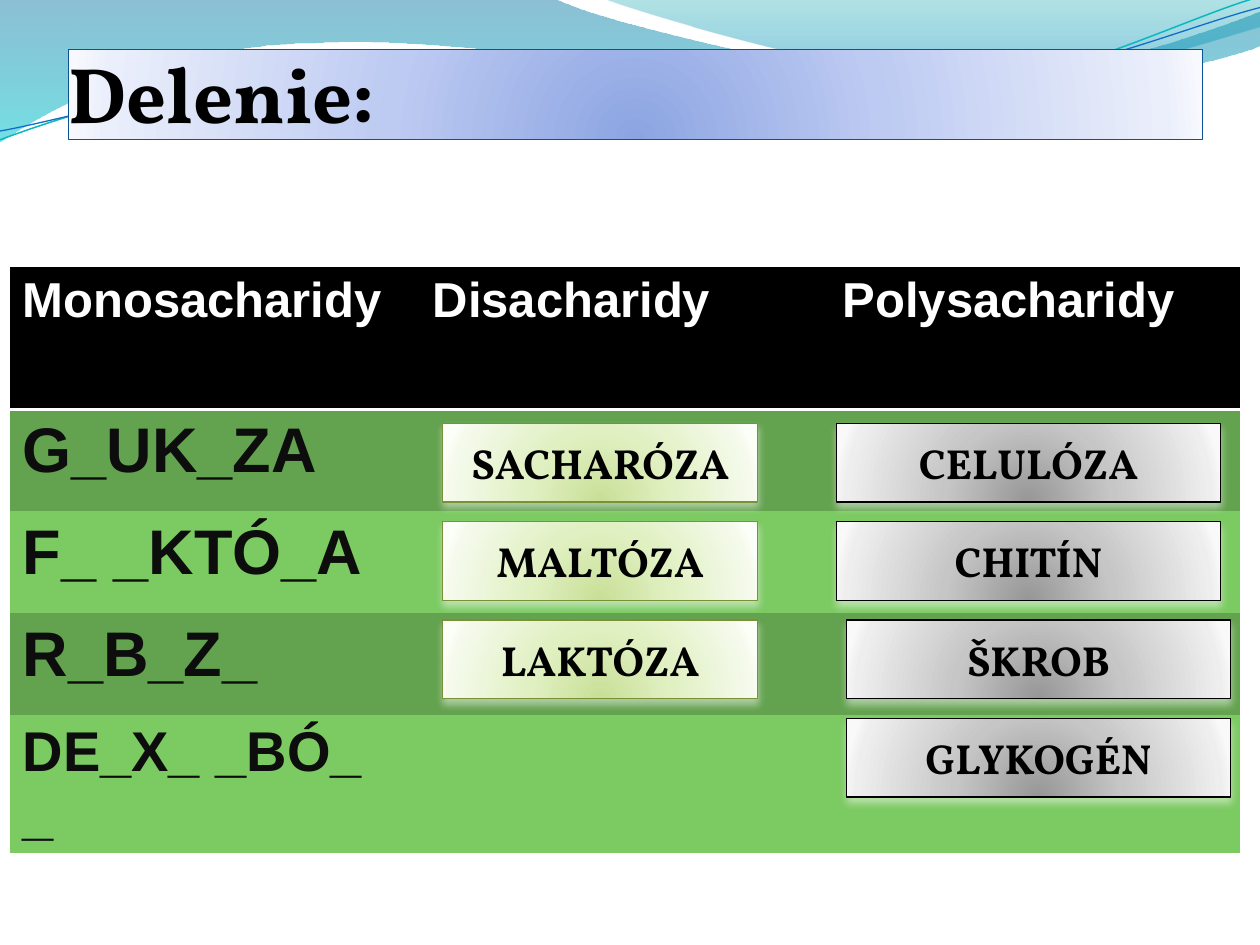
from dataclasses import dataclass

from lxml import etree
from pptx import Presentation
from pptx.dml.color import RGBColor
from pptx.enum.shapes import MSO_SHAPE
from pptx.enum.text import MSO_ANCHOR, MSO_AUTO_SIZE, PP_ALIGN
from pptx.oxml import parse_xml
from pptx.oxml.ns import nsdecls, qn
from pptx.util import Inches, Pt

RECTANGLE = MSO_SHAPE.RECTANGLE
LEFT, CENTER = PP_ALIGN.LEFT, PP_ALIGN.CENTER
BOTTOM, MIDDLE = MSO_ANCHOR.BOTTOM, MSO_ANCHOR.MIDDLE
FIXED_SIZE = MSO_AUTO_SIZE.NONE

# The slide is a grid of 100 columns by 75 rows
CELL = Inches(0.1)
COLUMNS, ROWS = 100, 75
PLAIN_TABLE_STYLE = "{2D5ABB26-0587-4C30-8999-92F81FD0307C}"


@dataclass(frozen=True)
class Palette:
    """Gradient stops (position, colour), outline and shadow of a box."""
    stops: tuple
    outline: str
    shadow: str = ""


@dataclass(frozen=True)
class Theme:
    serif: str = "Vollkorn"
    sans: str = "Arial"
    title_size: int = 45
    header_size: int = 28
    entry_size: int = 36
    long_entry_size: int = 32
    label_size: int = 24
    ink: str = "000000"
    entry_ink: str = "0D0D0D"
    paper: str = "FFFFFF"
    bands: tuple = ("63A24E", "7CCA62")
    back_wave: tuple = ((0, "0074A1", 45), (100, "00C6CF", 55))
    front_wave: tuple = ((0, "00A1A9", 30), (80, "008BBF", 45))
    teal: str = "0AB8BF"
    blue: str = "0F6FC6"
    title: Palette = Palette(
        ((0, "8CA5E2"), (43, "BDCAF2"), (93, "EBEFFB"), (100, "F7F9FE")), "0B5394")
    green: Palette = Palette(
        ((0, "C9DF97"), (43, "E0F0C1"), (93, "F5FAEC"), (100, "FCFEF8")), "7B9135", "FFFFFF")
    grey: Palette = Palette(
        ((0, "979797"), (43, "C6C6C6"), (93, "EEEEEE"), (100, "F9F9F9")), "000000", "FFFFFF")


def grid(*lengths):
    return [round(length * CELL) for length in lengths]


class SlideBuilder:
    def __init__(self, deck, theme):
        self.theme = theme
        self.page = deck.slides.add_slide(deck.slide_layouts[5])

    def style(self, para, font, size, color, align=LEFT):
        para.alignment = align
        para.font.name, para.font.size, para.font.bold = font, Pt(size), True
        para.font.color.rgb = RGBColor.from_string(color)

    def outline(self, shape, color, width=0.75):
        shape.line.color.rgb = RGBColor.from_string(color)
        shape.line.width = Pt(width)

    def gradient(self, shape, stops, direction):
        marks = "".join(
            f'<a:gs pos="{place * 1000}"><a:srgbClr val="{color}">'
            f'<a:alpha val="{(alpha or [100])[0] * 1000}"/></a:srgbClr></a:gs>'
            for place, color, *alpha in stops)
        shape.fill.background()
        blank = shape._element.spPr.find(qn("a:noFill"))
        blank.getparent().replace(blank, parse_xml(
            f'<a:gradFill {nsdecls("a")} rotWithShape="1">'
            f'<a:gsLst>{marks}</a:gsLst>{direction}</a:gradFill>'))

    def paint(self, shape, palette):
        """Glow from below the box, with an outline and a soft shadow."""
        self.gradient(shape, palette.stops,
                      '<a:path path="circle"><a:fillToRect l="50000" t="130000" '
                      'r="50000" b="-30000"/></a:path>')
        self.outline(shape, palette.outline)
        if palette.shadow:
            shape.shadow.inherit = False
            shape._element.spPr.find(qn("a:effectLst")).append(parse_xml(
                f'<a:outerShdw {nsdecls("a")} blurRad="{Pt(4.5)}" dist="{Pt(3)}" '
                f'dir="5400000" rotWithShape="0"><a:srgbClr val="{palette.shadow}">'
                '<a:alpha val="48000"/></a:srgbClr></a:outerShdw>'))

    def curve(self, start, steps, closed):
        """A step of six numbers is a cubic curve, one of two a straight line."""
        points = [tuple(grid(*step[i:i + 2])) for step in steps for i in range(0, len(step), 2)]
        builder = self.page.shapes.build_freeform(*grid(*start))
        builder.add_line_segments(points, close=closed)
        shape = builder.convert_to_shape()
        shape.shadow.inherit = False
        lines = iter(list(shape._element.iter(qn("a:lnTo"))))
        for step in steps:
            first = next(lines)
            if len(step) == 6:
                first.tag = qn("a:cubicBezTo")
                for _ in range(2):
                    extra = next(lines)
                    first.append(extra[0])
                    extra.getparent().remove(extra)
        return shape

    def wave(self, start, steps, stops):
        shape = self.curve(start, steps, True)
        self.gradient(shape, stops, '<a:lin ang="5400000" scaled="0"/>')
        shape.line.fill.background()

    def strand(self, start, steps, color, width):
        shape = self.curve(start, steps, False)
        shape.fill.background()
        self.outline(shape, color, width)

    def title(self, text, *place):
        title = self.page.shapes.title
        self.page.shapes._spTree.append(title._element)  # in front of the waves
        title.left, title.top, title.width, title.height = grid(*place)
        self.paint(title, self.theme.title)
        frame = title.text_frame
        frame.text = text
        frame.auto_size, frame.vertical_anchor = FIXED_SIZE, BOTTOM
        frame.margin_left = frame.margin_right = frame.margin_bottom = 0
        self.style(frame.paragraphs[0], self.theme.serif, self.theme.title_size, self.theme.ink)

    def table(self, headers, entries, left, top, width, header_height, row_height):
        theme = self.theme
        height = header_height + row_height * len(entries)
        table = self.page.shapes.add_table(
            len(entries) + 1, len(headers), *grid(left, top, width, height)).table
        table.horz_banding = False
        table._tbl.tblPr.find(qn("a:tableStyleId")).text = PLAIN_TABLE_STYLE
        for index, row in enumerate(table.rows):
            row.height, = grid(row_height if index else header_height)
            color = theme.bands[(index - 1) % 2] if index else theme.ink
            for cell in row.cells:
                cell.fill.solid()
                cell.fill.fore_color.rgb = RGBColor.from_string(color)
        for cell, text in zip(table.rows[0].cells, headers):
            cell.text = text
            self.style(cell.text_frame.paragraphs[0], theme.sans, theme.header_size, theme.paper)
            border = etree.Element(qn("a:lnB"), w=str(Pt(2)))
            ink = etree.SubElement(border, qn("a:solidFill"))
            etree.SubElement(ink, qn("a:srgbClr"), val=theme.paper)
            cell._tc.tcPr.insert(0, border)
        for index, (text, size) in enumerate(entries, 1):
            cell = table.cell(index, 0)
            cell.text = text
            self.style(cell.text_frame.paragraphs[0], theme.sans, size, theme.entry_ink)

    def label(self, text, palette, *place):
        box = self.page.shapes.add_shape(RECTANGLE, *grid(*place))
        self.paint(box, palette)
        frame = box.text_frame
        frame.text, frame.word_wrap, frame.vertical_anchor = text, True, MIDDLE
        self.style(frame.paragraphs[0], self.theme.serif, self.theme.label_size,
                   self.theme.ink, CENTER)


def main():
    deck, theme = Presentation(), Theme()
    deck.slide_width, deck.slide_height = grid(COLUMNS, ROWS)
    slide = SlideBuilder(deck, theme)

    # Waves and strands along the top
    slide.wave((0, -0.1), [
        (44, -0.1), (47.6, 1.7, 66.4, 6.3, 75.8, 6.3), (85.3, 6.3, 95.8, 2.6, 100, 0.9),
        (100.1, 3.6), (98.3, 4.4, 87, 7.6, 74.6, 7.5), (62.2, 7.5, 38.2, 2.8, 25.7, 3.4),
        (12.9, 3.5, 4.6, 8.3, -0.1, 11.3)], theme.back_wave)
    slide.wave((47.9, -0.1), [
        (50.9, 1.1, 68.2, 6.2, 76.9, 6.5), (85.6, 6.9, 96.1, 3.2, 100, 2.1), (100, 0)],
        theme.front_wave)
    slide.strand((0, 11.1), [
        (4.8, 9.3, 15.8, 5.7, 27.7, 5.2), (39.5, 4.7, 59.3, 8.9, 71.3, 8),
        (83.3, 7.1, 93.8, 1.5, 99.8, -0.2)], theme.teal, 0.85)
    slide.strand((0, 10.4), [
        (4.7, 9.6, 16.4, 6.1, 28.3, 5.6), (40.3, 5.1, 59.7, 8.3, 71.7, 7.5),
        (83.6, 6.7, 94.1, 2.1, 100, 0.6)], theme.blue, 0.75)

    # Title and table
    slide.title("Delenie:", 5.45, 3.94, 90, 7.12)
    slide.table(
        ["Monosacharidy", "Disacharidy", "Polysacharidy"],
        [("G_UK_ZA", theme.entry_size), ("F_ _KTÓ_A", theme.entry_size),
         ("R_B_Z_", theme.entry_size), ("DE_X_ _BÓ_ _", theme.long_entry_size)],
        0.8, 21.2, 97.65, 11.3, 8.08)

    # Answer labels, evenly stacked; the lower greys sit a little to the right
    top, pitch, height = 33.6, 7.8, 6.25
    for row, text in enumerate(["SACHARÓZA", "MALTÓZA", "LAKTÓZA"]):
        slide.label(text, theme.green, 35.15, top + row * pitch, 25, height)
    for row, text in enumerate(["CELULÓZA", "CHITÍN", "ŠKROB", "GLYKOGÉN"]):
        left = 66.4 if row < 2 else 67.2
        slide.label(text, theme.grey, left, top + row * pitch, 30.45, height)

    deck.save("out.pptx")


if __name__ == "__main__":
    main()
